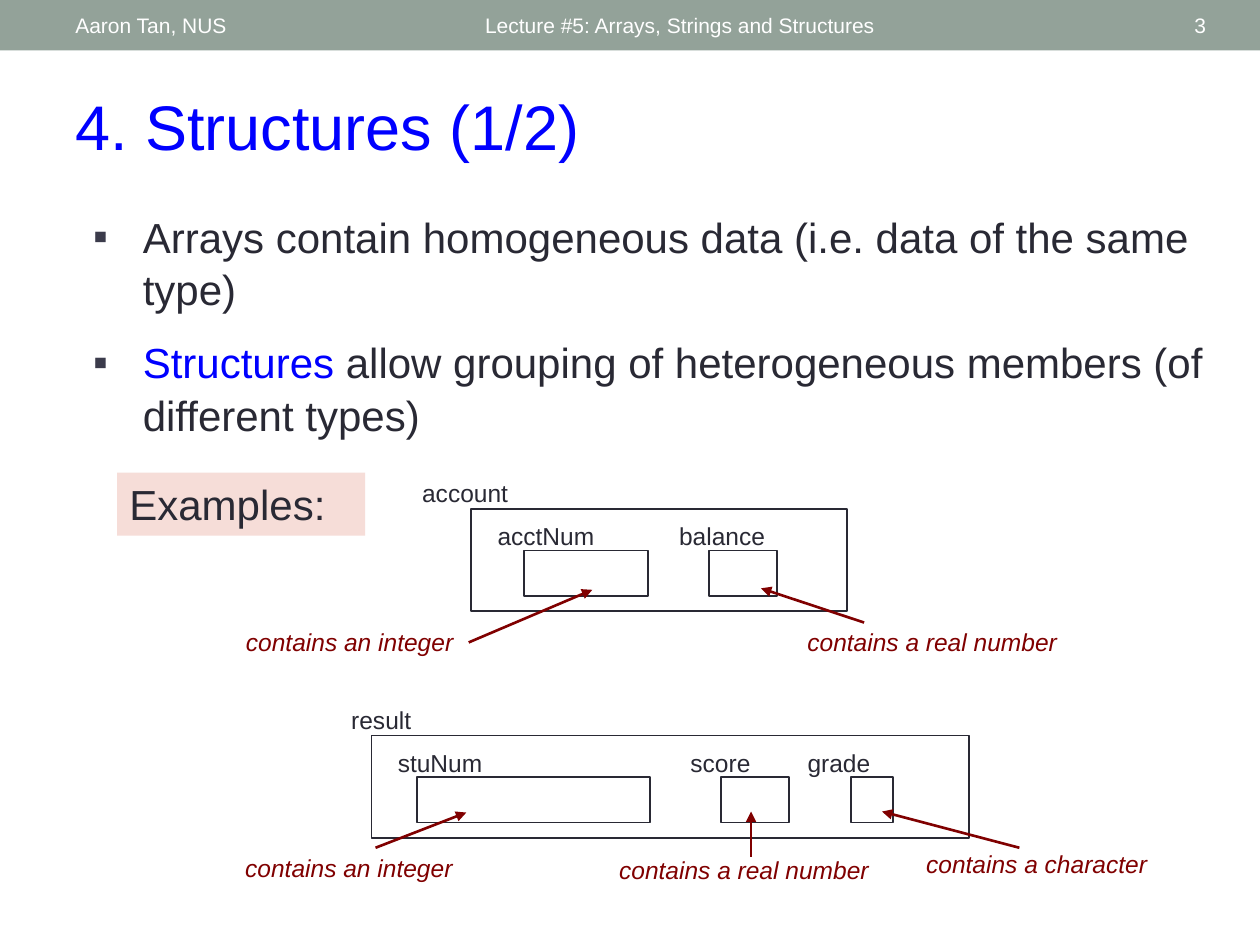
from dataclasses import dataclass

from lxml import etree
from pptx import Presentation
from pptx import util as u
from pptx.dml.color import RGBColor
from pptx.enum import shapes, text
from pptx.oxml.ns import qn

INK, BLUE, MAROON, WHITE = "292934", "0000FF", "800000", "FFFFFF"
LEFT, CENTER, RIGHT = text.PP_ALIGN.LEFT, text.PP_ALIGN.CENTER, text.PP_ALIGN.RIGHT
TOP, MIDDLE = text.MSO_ANCHOR.TOP, text.MSO_ANCHOR.MIDDLE
BOX_H, LABEL_H = 0.91, 0.86


@dataclass
class Field:
    label: str
    label_x: float
    x: float
    w: float


@dataclass
class Note:
    text: str
    x: float
    y: float
    w: float
    start: tuple[float, float]
    end: tuple[float, float]


@dataclass
class Record:
    label: str
    label_x: float
    x: float
    y: float
    w: float
    fields: list[Field]
    notes: list[Note]


RECORDS = [
    Record("account", 8.26, 9.5, 10.26, 7.57,
           [Field("acctNum", 9.78, 10.57, 2.49),
            Field("balance", 13.44, 14.3, 1.37)],
           [Note("contains an integer", 4.65, 12.52, 4.8, (9.45, 12.95), (11.94, 11.89)),
            Note("contains a real number", 15.67, 12.52, 6.25, (17.42, 12.55), (15.34, 11.86))]),
    Record("result", 6.83, 7.49, 14.83, 12.04,
           [Field("stuNum", 7.77, 8.41, 4.7),
            Field("score", 13.67, 14.53, 1.37),
            Field("grade", 16.03, 17.15, 0.86)],
           [Note("contains an integer", 4.29, 17.07, 5.49, (7.57, 17.09), (9.4, 16.38)),
            Note("contains a real number", 11.94, 17.12, 6.12, (15.14, 17.27), (15.14, 16.36)),
            Note("contains a character", 18.31, 16.99, 5.18, (20.55, 17.09), (17.78, 16.36))]),
]


def rgb(value: str) -> RGBColor:
    return RGBColor.from_string(value)


def style(r, size: float, color: str, italic: bool = False) -> None:
    r.font.name = "Arial"
    r.font.size = u.Pt(size)
    r.font.color.rgb = rgb(color)
    r.font.italic = italic


def write(sp, words: str, size: float, color: str, align=LEFT, anchor=TOP,
          italic: bool = False) -> None:
    tf = sp.text_frame
    tf.word_wrap = True
    tf.vertical_anchor = anchor
    tf.text = words
    p = tf.paragraphs[0]
    p.alignment = align
    style(p.runs[0], size, color, italic)


def add_text(s, x: float, y: float, w: float, h: float, words: str, size: float,
             color: str, **options) -> None:
    sp = s.shapes.add_textbox(u.Cm(x), u.Cm(y), u.Cm(w), u.Cm(h))
    write(sp, words, size, color, **options)


def add_rect(s, x: float, y: float, w: float, h: float, fill: str = ""):
    sp = s.shapes.add_shape(shapes.MSO_SHAPE.RECTANGLE, u.Cm(x), u.Cm(y), u.Cm(w), u.Cm(h))
    sp.shadow.inherit = False
    if fill:
        sp.fill.solid()
        sp.fill.fore_color.rgb = rgb(fill)
        sp.line.fill.background()
    else:
        sp.fill.background()
        sp.line.color.rgb = rgb(INK)
        sp.line.width = u.Pt(1)
    return sp


def add_arrow(s, start: tuple[float, float], end: tuple[float, float]) -> None:
    cx = s.shapes.add_connector(shapes.MSO_CONNECTOR.STRAIGHT,
                                *(u.Cm(v) for v in start + end))
    cx.line.color.rgb = rgb(MAROON)
    cx.line.width = u.Pt(1.5)
    etree.SubElement(cx.line._get_or_add_ln(), qn("a:tailEnd"), type="triangle")
    etree.SubElement(cx._element.spPr, qn("a:effectLst"))


def add_bullets(s, items: list[list[tuple[str, str]]]) -> None:
    tf = s.shapes.add_textbox(u.Cm(1.63), u.Cm(4.09), u.Cm(22.9), u.Cm(5.08)).text_frame
    tf.word_wrap = True
    for i, item in enumerate(items):
        p = tf.add_paragraph() if i else tf.paragraphs[0]
        p.line_spacing = 1.04
        p.space_before = u.Pt(12 if i else 0)
        pPr = p._p.get_or_add_pPr()
        pPr.set("marL", str(u.Cm(1)))
        pPr.set("indent", str(-u.Cm(1)))
        color = etree.SubElement(pPr, qn("a:buClr"))
        etree.SubElement(color, qn("a:srgbClr"), val="3B3B4B")
        etree.SubElement(pPr, qn("a:buFont"), typeface="Arial")
        etree.SubElement(pPr, qn("a:buChar"), char="▪")
        for words, ink in item:
            r = p.add_run()
            r.text = words
            style(r, 24, ink)


def add_record(s, rec: Record) -> None:
    add_text(s, rec.label_x, rec.y - 0.75, 3.1, LABEL_H, rec.label, 14, INK)
    add_rect(s, rec.x, rec.y, rec.w, 2.06)
    for f in rec.fields:
        add_rect(s, f.x, rec.y + 0.84, f.w, BOX_H)
        add_text(s, f.label_x, rec.y + 0.12, 2.8, LABEL_H, f.label, 14, INK)
    for n in rec.notes:
        add_text(s, n.x, n.y, n.w, LABEL_H, n.text, 14, MAROON, align=CENTER, italic=True)
        add_arrow(s, n.start, n.end)


def main() -> None:
    prs = Presentation()
    prs.slide_width, prs.slide_height = u.Cm(25.4), u.Cm(19.05)
    s = prs.slides.add_slide(prs.slide_layouts[6])
    add_rect(s, 0, 0, 25.4, 1.02, "93A299")
    for x, w, words, align in [
        (1.27, 8.05, "Aaron Tan, NUS", LEFT),
        (9.53, 11.43, "Lecture #5: Arrays, Strings and Structures", LEFT),
        (22.15, 2.41, "3", RIGHT),
    ]:
        add_text(s, x, 0.05, w, 0.91, words, 12, WHITE, align=align, anchor=MIDDLE)
    add_text(s, 1.27, 1.63, 23.29, 1.8, "4. Structures (1/2)", 36, BLUE)
    add_bullets(s, [
        [("Arrays contain homogeneous data (i.e. data of the same type)", INK)],
        [("Structures ", BLUE),
         ("allow grouping of heterogeneous members (of different types)", INK)],
    ])
    write(add_rect(s, 2.36, 9.53, 5, 1.27, "F6DDD8"), "Examples:", 24, INK)
    for rec in RECORDS:
        add_record(s, rec)
    prs.save("out.pptx")


if __name__ == "__main__":
    main()
